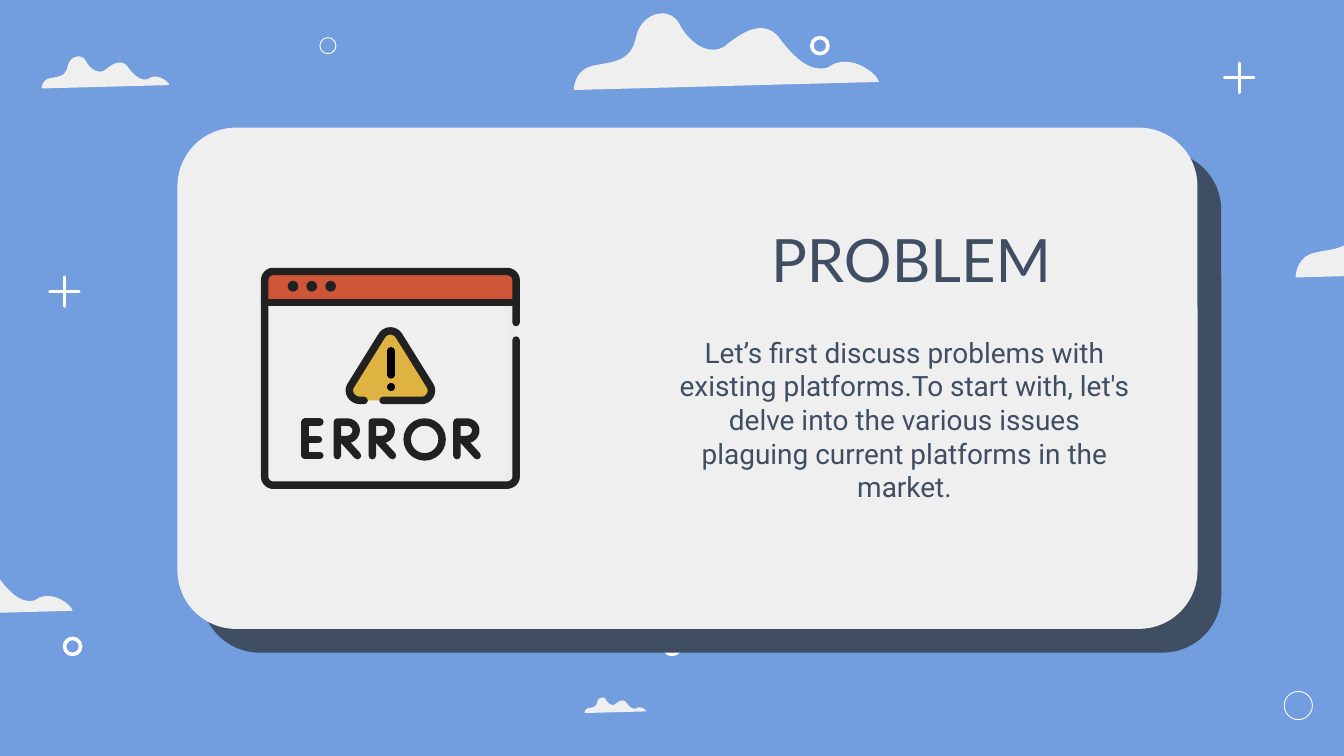
from lxml.etree import SubElement
from pptx import Presentation
from pptx.dml.color import RGBColor
from pptx.enum.shapes import MSO_CONNECTOR, MSO_SHAPE
from pptx.enum.text import MSO_ANCHOR, PP_ALIGN
from pptx.oxml.ns import qn
from pptx.util import Inches, Pt

SKY = RGBColor(0x72, 0x9D, 0xDF)
PALE = RGBColor(0xEF, 0xEF, 0xEF)
SHADE = RGBColor(0xEB, 0xEB, 0xEB)
NAVY = RGBColor(0x40, 0x4E, 0x63)
WHITE = RGBColor(0xFF, 0xFF, 0xFF)
RED = RGBColor(0xCE, 0x55, 0x35)
YELLOW = RGBColor(0xDF, 0xB3, 0x41)
INK = RGBColor(0x21, 0x21, 0x21)
BLACK = RGBColor(0, 0, 0)

TITLE = "PROBLEM"
BODY = ("Let’s first discuss problems with existing platforms.To start with, let's "
        "delve into the various issues plaguing current platforms in the market.")

CLOUD_WIDTH = 2.27
CLOUD = [[(0.66, 0), (0.57, 0, 0.48, 0.07, 0.46, 0.19), (0.42, 0.37, 0.27, 0.36, 0.14, 0.39),
          (0, 0.42, 0, 0.57, 0, 0.57), (2.27, 0.51), (2.26, 0.46, 2.14, 0.36, 2.02, 0.36),
          (1.98, 0.36, 1.94, 0.37, 1.91, 0.39), (1.88, 0.41, 1.86, 0.41, 1.83, 0.41),
          (1.71, 0.41, 1.59, 0.27, 1.52, 0.17), (1.48, 0.13, 1.44, 0.11, 1.39, 0.11),
          (1.31, 0.11, 1.23, 0.16, 1.14, 0.23), (1.11, 0.26, 1.07, 0.27, 1.03, 0.27),
          (0.93, 0.27, 0.83, 0.17, 0.78, 0.07), (0.75, 0.02, 0.7, 0, 0.66, 0)]]
WINDOW = [[(3.84, 2.4), (3.84, 2.08), (3.84, 2.05, 3.81, 2.02, 3.77, 2.02), (2.03, 2.02),
           (2, 2.02, 1.97, 2.05, 1.97, 2.08), (1.97, 3.55),
           (1.97, 3.58, 2, 3.61, 2.03, 3.61), (3.77, 3.61),
           (3.81, 3.61, 3.84, 3.58, 3.84, 3.55), (3.84, 2.53)],
          [(1.97, 2.25), (3.84, 2.25)]]
WARNING = [[(2.71, 2.98), (2.68, 2.98), (2.62, 2.98, 2.58, 2.92, 2.61, 2.87), (2.84, 2.5),
            (2.87, 2.45, 2.94, 2.45, 2.97, 2.5), (3.2, 2.87),
            (3.23, 2.92, 3.19, 2.98, 3.14, 2.98), (2.85, 2.98)]]
LETTER_E = [[(2.38, 3.14), (2.27, 3.14), (2.27, 3.39), (2.38, 3.39)],
            [(2.27, 3.27), (2.37, 3.27)]]
LETTER_R = [[(0.03, 0.28), (0.03, 0.03), (0.1, 0.03), (0.14, 0.03, 0.17, 0.06, 0.17, 0.09),
             (0.17, 0.13, 0.14, 0.16, 0.1, 0.16), (0.03, 0.16)],
            [(0.08, 0.17), (0.18, 0.28)]]

CLOUDS = [(-1.13, 4.17, 1.67), (4.27, 0.1, 2.27), (0.31, 0.42, 0.95),
          (9.64, 1.48, 2.33), (4.35, 5.19, 0.46)]
RINGS = [(6.1, 0.34, 0.12, 1.92), (2.44, 0.34, 0.12, 0.48), (0.54, 4.81, 0.12, 1.92),
         (5, 4.81, 0.12, 1.92), (9.66, 5.25, 0.21, 0.48)]
CROSSES = [(9.22, 0.58), (0.48, 2.17)]
CROSS_ARM = 0.11
R_LEFTS = [2.48, 2.74, 3.37]
R_TOP = 3.11
BUTTONS = [2.18, 2.32, 2.46]
STROKE = 4

prs = Presentation()
prs.slide_width = Inches(10)
prs.slide_height = prs.slide_width * 9 // 16
s = prs.slides.add_slide(prs.slide_layouts[0])
s.background.fill.solid()
s.background.fill.fore_color.rgb = SKY


def stroke(sp, color, width):
    sp.line.color.rgb = color
    sp.line.width = Pt(width)
    ln = sp._element.spPr.find(qn("a:ln"))
    ln.set("cap", "rnd")
    SubElement(ln, qn("a:round"))


def style(sp, fill=None, line=None, width=1):
    sp.shadow.inherit = False
    if fill is None:
        sp.fill.background()
    else:
        sp.fill.solid()
        sp.fill.fore_color.rgb = fill
    if line is None:
        sp.line.fill.background()
    else:
        stroke(sp, line, width)
    return sp


def add_preset(kind, x, y, w, h, **look):
    return style(s.shapes.add_shape(kind, Inches(x), Inches(y), Inches(w), Inches(h)), **look)


def add_circle(cx, cy, d, **look):
    return add_preset(MSO_SHAPE.OVAL, cx - d / 2, cy - d / 2, d, d, **look)


def add_line(x1, y1, x2, y2, color, width):
    c = s.shapes.add_connector(MSO_CONNECTOR.STRAIGHT, *map(Inches, (x1, y1, x2, y2)))
    stroke(c, color, width)
    SubElement(c._element.spPr, qn("a:effectLst"))


def flatten(subpath, steps=10):
    points = [subpath[0]]
    for seg in subpath[1:]:
        if len(seg) == 2:
            points.append(seg)
            continue
        ax, ay = points[-1]
        bx, by, cx, cy, dx, dy = seg
        for t in (i / steps for i in range(1, steps + 1)):
            k = ((1 - t) ** 3, 3 * t * (1 - t) ** 2, 3 * t * t * (1 - t), t ** 3)
            points.append((k[0] * ax + k[1] * bx + k[2] * cx + k[3] * dx,
                           k[0] * ay + k[1] * by + k[2] * cy + k[3] * dy))
    return points


def add_outline(subpaths, x=0, y=0, scale=1, close=False, **look):
    fb = None
    for subpath in subpaths:
        points = [(Inches(x + px * scale), Inches(y + py * scale)) for px, py in flatten(subpath)]
        if fb is None:
            fb = s.shapes.build_freeform(*points[0], scale=1.0)
        else:
            fb.move_to(*points[0])
        fb.add_line_segments(points[1:], close=close)
    return style(fb.convert_to_shape(), **look)


def set_text(ph, text, box, font, size):
    ph.left, ph.top, ph.width, ph.height = map(Inches, box)
    tf = ph.text_frame
    tf.text = text
    tf.word_wrap = True
    tf.vertical_anchor = MSO_ANCHOR.MIDDLE
    tf.margin_left = tf.margin_right = tf.margin_top = tf.margin_bottom = Inches(0.1)
    p = tf.paragraphs[0]
    p.alignment = PP_ALIGN.CENTER
    p.space_before = Pt(0)
    p.font.name, p.font.size, p.font.color.rgb = font, Pt(size), NAVY
    s.shapes._spTree.append(ph._element)


for x, y, w in CLOUDS:
    add_outline(CLOUD, x, y, w / CLOUD_WIDTH, close=True, fill=PALE)
for cx, cy, d, width in RINGS:
    add_circle(cx, cy, d, line=WHITE, width=width)
for cx, cy in CROSSES:
    add_line(cx - CROSS_ARM, cy, cx + CROSS_ARM, cy, WHITE, 1.56)
    add_line(cx, cy - CROSS_ARM, cx, cy + CROSS_ARM, WHITE, 1.56)

card = add_preset(MSO_SHAPE.ROUNDED_RECTANGLE, 1.32, 0.95, 7.59, 3.73, fill=PALE)
card.adjustments[0] = 0.117
shadow = SubElement(card._element.spPr.find(qn("a:effectLst")), qn("a:outerShdw"),
                    blurRad="0", dist=str(Pt(18)), dir="2700000", algn="bl", rotWithShape="0")
SubElement(shadow, qn("a:srgbClr"), val=str(NAVY))

set_text(s.placeholders[1], BODY, (4.94, 2.37, 3.58, 1.5), "Roboto", 15)
set_text(s.shapes.title, TITLE, (4.74, 1.57, 4.08, 0.71), "Lato", 32)

add_preset(MSO_SHAPE.RECTANGLE, 1.97, 2.25, 1.87, 1.35, fill=PALE)
add_preset(MSO_SHAPE.RECTANGLE, 3.76, 2.25, 0.08, 1.35, fill=SHADE)
bar = add_preset(MSO_SHAPE.ROUND_2_SAME_RECTANGLE, 1.97, 2.01, 1.87, 0.24, fill=RED)
bar.adjustments[0] = 0.25
add_outline(WINDOW, line=INK, width=STROKE)
for cx in BUTTONS:
    add_circle(cx, 2.13, 0.08, fill=INK)

add_outline(WARNING, close=True, fill=YELLOW)
add_outline(WARNING, line=INK, width=STROKE)
add_line(2.91, 2.61, 2.91, 2.79, BLACK, STROKE)
add_circle(2.91, 2.88, 0.06, fill=BLACK)

add_outline(LETTER_E, line=INK, width=STROKE)
for x in R_LEFTS:
    add_outline(LETTER_R, x, R_TOP, line=INK, width=STROKE)
add_circle(3.16, 3.27, 0.26, line=INK, width=STROKE)

prs.save("out.pptx")
